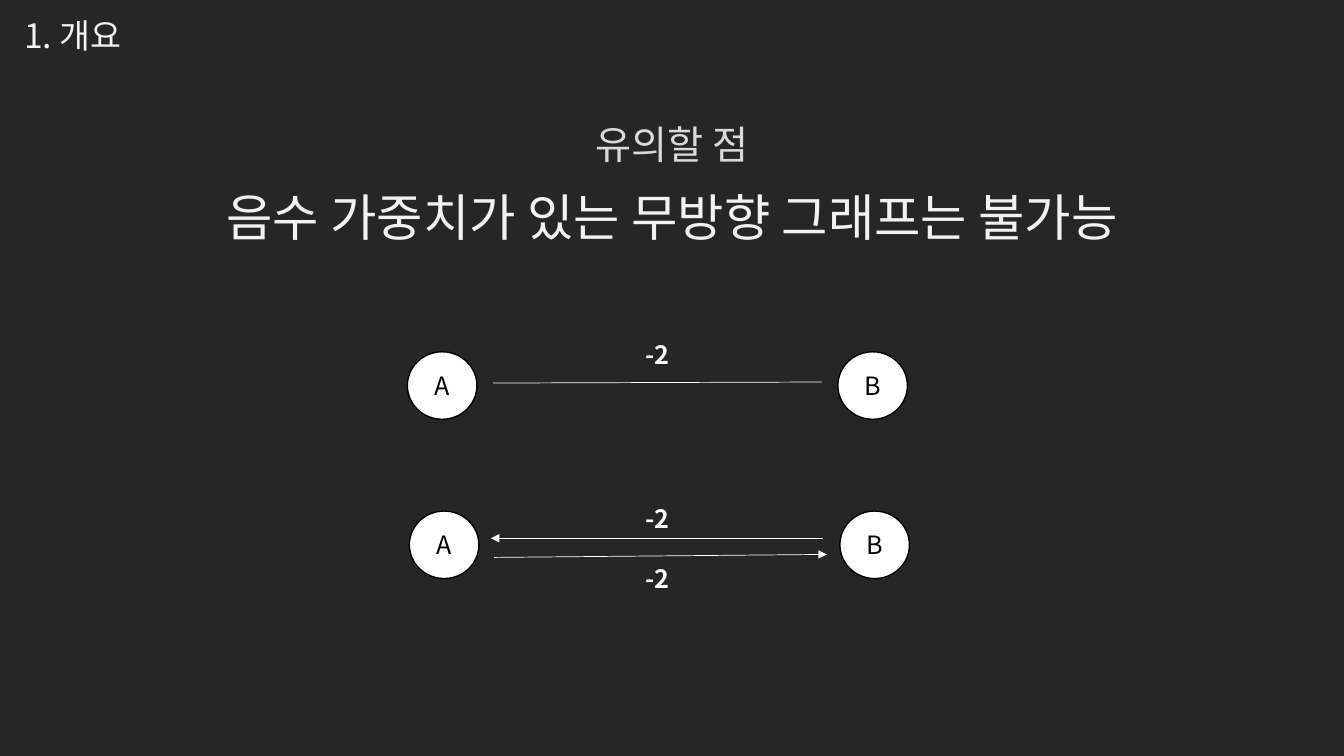
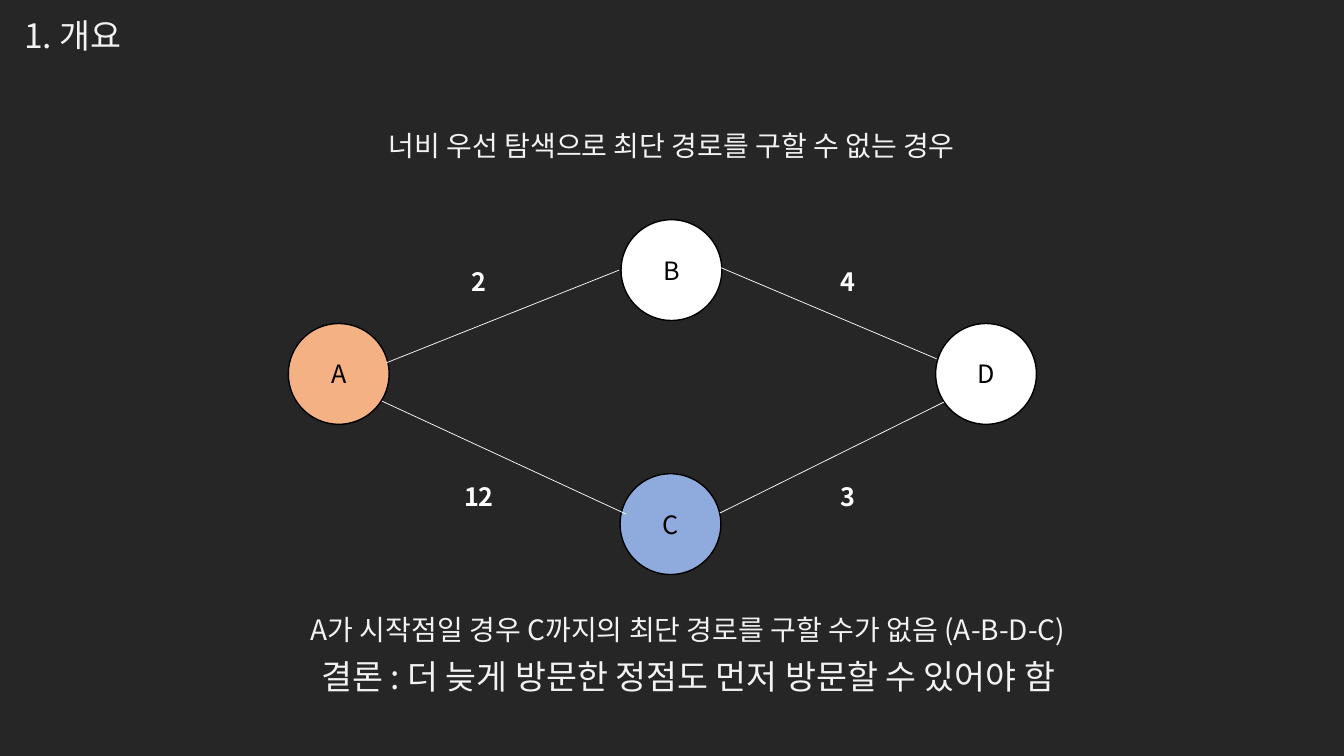
from dataclasses import dataclass

from lxml.etree import SubElement
from pptx import Presentation
from pptx.dml.color import RGBColor
from pptx.enum.shapes import MSO_CONNECTOR, MSO_SHAPE
from pptx.enum.text import MSO_ANCHOR, MSO_AUTO_SIZE, PP_ALIGN
from pptx.oxml.ns import qn
from pptx.util import Emu, Pt

EMU_PER_PX = 9144  # 100 px to the inch


@dataclass(frozen=True)
class Theme:
    font: str = "Noto Sans CJK KR"
    background: str = "262626"
    text: str = "F2F2F2"
    muted: str = "D9D9D9"
    white: str = "FFFFFF"
    black: str = "000000"
    start: str = "F4B183"
    goal: str = "8FAADC"
    headline_size: int = 36
    subtitle_size: int = 28
    title_size: int = 24
    body_size: int = 20
    graph_size: int = 18
    edge_width: float = 0.5
    node_width: float = 1


THEME = Theme()


@dataclass(frozen=True)
class Node:
    name: str
    left: int
    top: int
    width: int = 100
    height: int = 100
    fill: str = THEME.white


@dataclass(frozen=True)
class Edge:
    start: tuple[int, int]
    end: tuple[int, int]
    arrow: bool = False


@dataclass(frozen=True)
class Weight:
    text: str
    left: int
    top: int


def px(length: int) -> Emu:
    return Emu(length * EMU_PER_PX)


def write_text(para, text: str, *, size: int, color: str = THEME.text,
               bold: bool = False, align=PP_ALIGN.CENTER,
               line_spacing: float | None = None,
               space_before: int | None = None) -> None:
    para.alignment = align
    if line_spacing is not None:
        para.line_spacing = line_spacing
    if space_before is not None:
        para.space_before = Pt(space_before)
    span = para.add_run()
    span.text = text
    span.font.size = Pt(size)
    span.font.bold = bold
    span.font.color.rgb = RGBColor.from_string(color)
    span.font.name = THEME.font
    # East Asian letters use the same font
    SubElement(span.font._element, qn("a:ea"), typeface=THEME.font)


def add_box(page, left: int, top: int, width: int, height: int):
    box = page.shapes.add_textbox(px(left), px(top), px(width), px(height))
    box.text_frame.word_wrap = True
    return box.text_frame


def add_lines(page, top: int, lines: list[tuple[str, int]], *, left: int = 77,
              height: int = 99, color: str = THEME.text) -> None:
    """Centred lines of text across the page, each with its own size."""
    frame = add_box(page, left, top, 1179, height)
    for index, (text, size) in enumerate(lines):
        para = frame.add_paragraph() if index else frame.paragraphs[0]
        write_text(para, text, size=size, color=color, line_spacing=0.9,
                   space_before=10)


def add_node(page, node: Node) -> None:
    circle = page.shapes.add_shape(MSO_SHAPE.OVAL, px(node.left), px(node.top),
                                   px(node.width), px(node.height))
    circle.shadow.inherit = False
    circle.fill.solid()
    circle.fill.fore_color.rgb = RGBColor.from_string(node.fill)
    circle.line.color.rgb = RGBColor.from_string(THEME.black)
    circle.line.width = Pt(THEME.node_width)
    frame = circle.text_frame
    frame.vertical_anchor = MSO_ANCHOR.MIDDLE
    write_text(frame.paragraphs[0], node.name, size=THEME.graph_size,
               color=THEME.black)


def add_edge(page, edge: Edge) -> None:
    line = page.shapes.add_connector(MSO_CONNECTOR.STRAIGHT,
                                     *map(px, edge.start + edge.end))
    line.line.color.rgb = RGBColor.from_string(THEME.white)
    line.line.width = Pt(THEME.edge_width)
    properties = line._element.spPr
    if edge.arrow:
        SubElement(properties.find(qn("a:ln")), qn("a:tailEnd"), type="triangle")
    SubElement(properties, qn("a:effectLst"))


def add_weight(page, weight: Weight) -> None:
    frame = add_box(page, weight.left, weight.top, 58, 40)
    frame.auto_size = MSO_AUTO_SIZE.SHAPE_TO_FIT_TEXT
    write_text(frame.paragraphs[0], weight.text, size=THEME.graph_size,
               color=THEME.white, bold=True)


def add_graph(page, nodes: list[Node], edges: list[Edge],
              weights: list[Weight]) -> None:
    for node in nodes:
        add_node(page, node)
    for edge in edges:
        add_edge(page, edge)
    for weight in weights:
        add_weight(page, weight)


def add_page(deck):
    """A blank page with the section title."""
    page = deck.slides.add_slide(deck.slide_layouts[6])
    frame = add_box(page, 14, 18, 189, 43)
    write_text(frame.paragraphs[0], "1. 개요", size=THEME.title_size,
               align=PP_ALIGN.LEFT, line_spacing=0.8, space_before=10)
    return page


def build_caution_page(deck) -> None:
    page = add_page(deck)
    add_lines(page, 187, [("음수 가중치가 있는 무방향 그래프는 불가능",
                           THEME.headline_size)])
    add_lines(page, 120, [("유의할 점", THEME.subtitle_size)], height=101,
              color=THEME.muted)

    # An undirected pair above, the same pair with two arrows below
    nodes = [Node(name, left + offset, top, 69, 67)
             for left, top in ((404, 349), (406, 507))
             for name, offset in (("A", 0), ("B", 427))]
    edges = [Edge((489, 380), (815, 379)),
             Edge((816, 534), (487, 534), arrow=True),
             Edge((490, 553), (820, 550), arrow=True)]
    weights = [Weight("-2", 623, top) for top in (332, 494, 554)]
    add_graph(page, nodes, edges, weights)


def build_search_page(deck) -> None:
    page = add_page(deck)
    add_lines(page, 126, [("너비 우선 탐색으로 최단 경로를 구할 수 없는 경우",
                           THEME.body_size)])

    # Diamond of four nodes, a weight beside each edge
    nodes = [Node("A", 286, 321, fill=THEME.start),
             Node("B", 616, 218),
             Node("C", 615, 470, fill=THEME.goal),
             Node("D", 928, 321)]
    edges = [Edge((379, 398), (621, 510)),
             Edge((709, 263), (929, 356)),
             Edge((714, 509), (936, 399)),
             Edge((383, 360), (614, 268))]
    weights = [Weight(text, left, top)
               for top, row in ((259, ("2", "4")), (473, ("12", "3")))
               for left, text in zip((446, 812), row)]
    add_graph(page, nodes, edges, weights)

    # Conclusion
    add_lines(page, 606, [
        ("A가 시작점일 경우 C까지의 최단 경로를 구할 수가 없음 (A-B-D-C)",
         THEME.body_size),
        ("결론 : 더 늦게 방문한 정점도 먼저 방문할 수 있어야 함",
         THEME.title_size),
    ], left=93)


def main() -> None:
    deck = Presentation()
    deck.slide_width, deck.slide_height = px(1333), px(750)
    backdrop = deck.slide_master.background.fill
    backdrop.solid()
    backdrop.fore_color.rgb = RGBColor.from_string(THEME.background)
    build_caution_page(deck)
    build_search_page(deck)
    deck.save("out.pptx")


if __name__ == "__main__":
    main()
